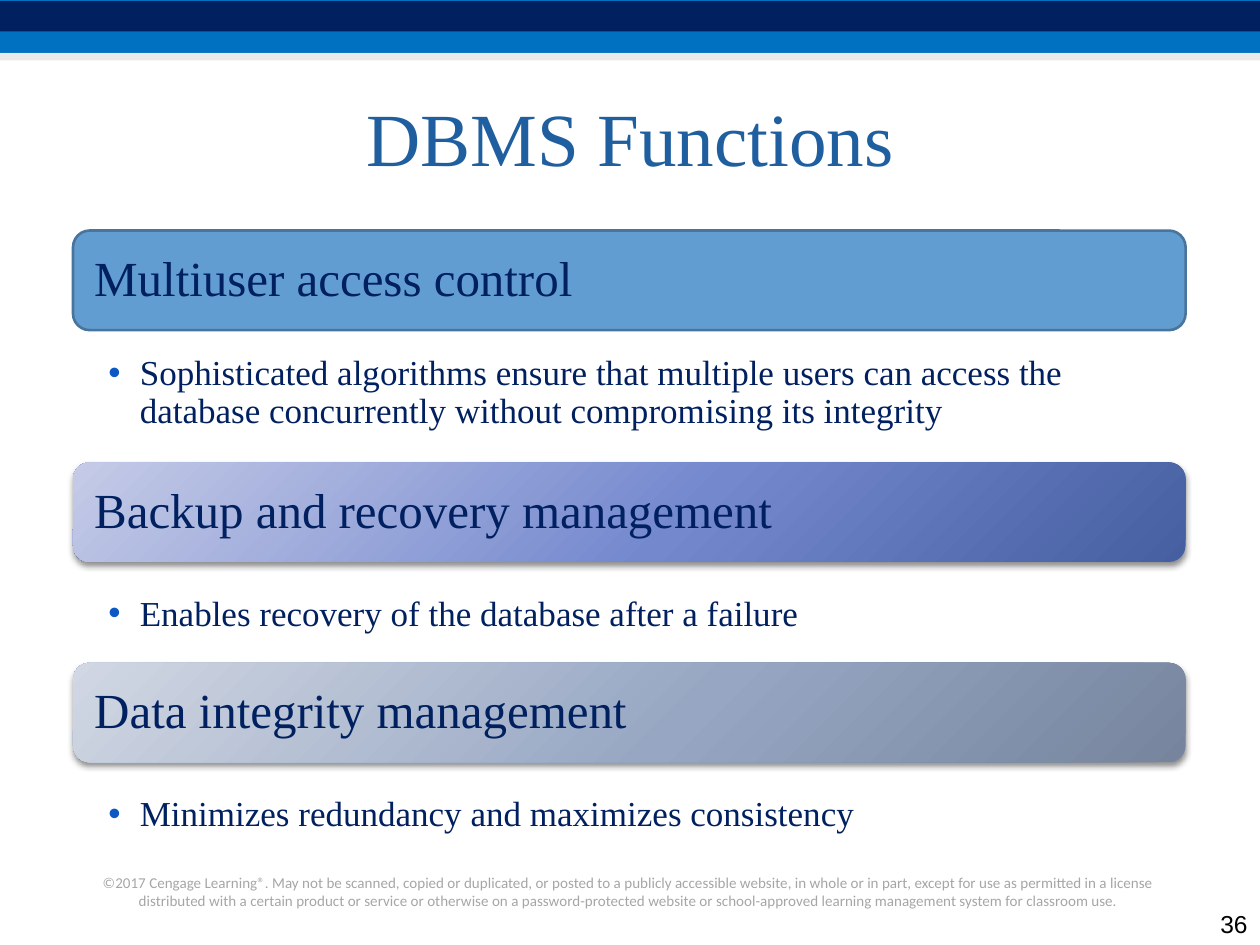
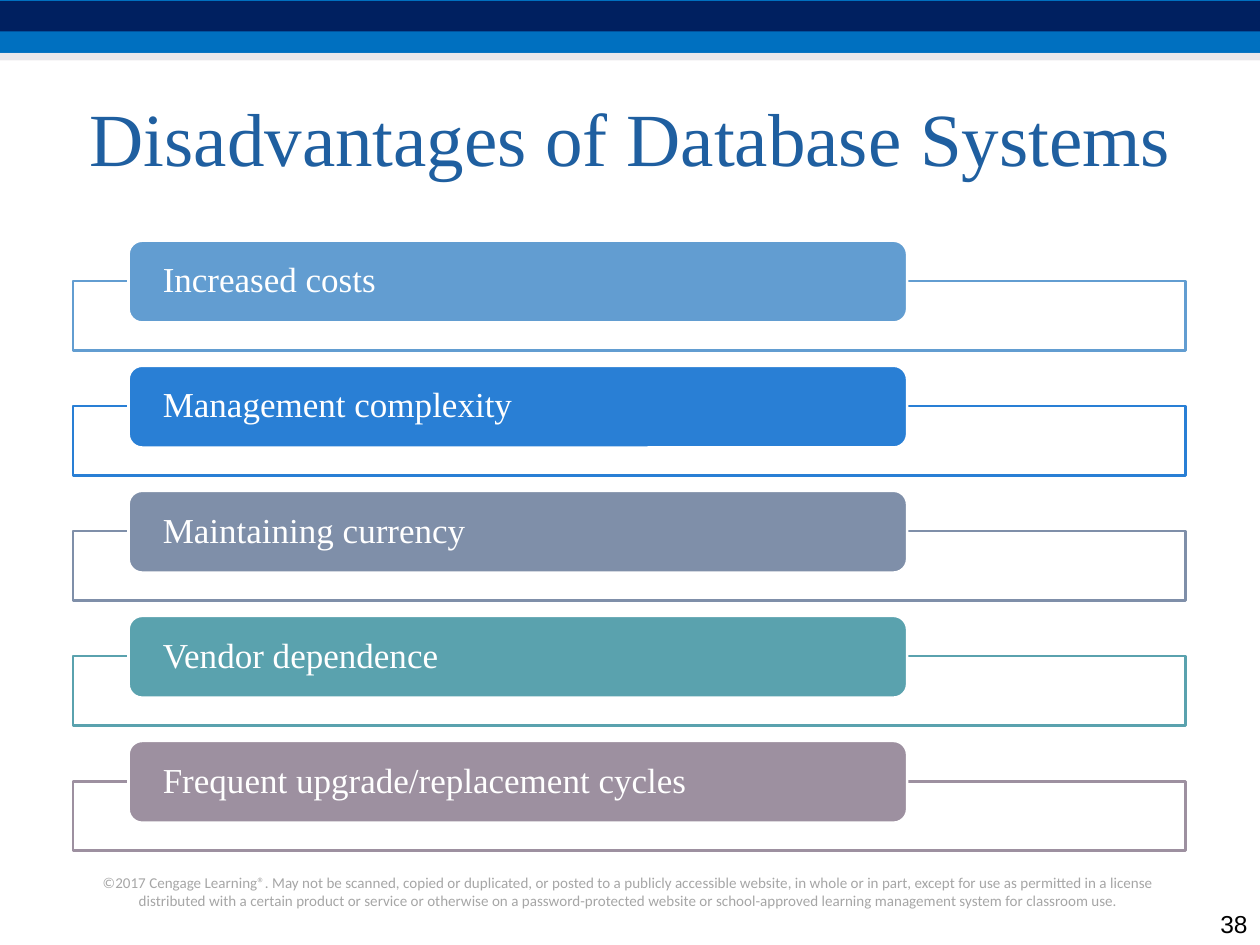
from lxml import etree
from pptx import Presentation
from pptx.dml.color import RGBColor
from pptx.enum.shapes import MSO_SHAPE
from pptx.enum.text import MSO_ANCHOR, PP_ALIGN
from pptx.oxml import parse_xml
from pptx.oxml.ns import nsdecls, qn
from pptx.util import Inches, Pt

RECTANGLE, ROUNDED = MSO_SHAPE.RECTANGLE, MSO_SHAPE.ROUNDED_RECTANGLE
TOP, MIDDLE, BOTTOM = MSO_ANCHOR.TOP, MSO_ANCHOR.MIDDLE, MSO_ANCHOR.BOTTOM
LEFT, CENTER, RIGHT = PP_ALIGN.LEFT, PP_ALIGN.CENTER, PP_ALIGN.RIGHT

# Content: heading, bar top, bar fill (one colour or three gradient stops), detail, detail top, detail height
FUNCTIONS = [
    ("Multiuser access control", 1.83, ["629DD1"],
     "Sophisticated algorithms ensure that multiple users can access the "
     "database concurrently without compromising its integrity", 2.78, 0.8),
    ("Backup and recovery management", 3.67, ["C5CBE7", "7488CE", "455FA0"],
     "Enables recovery of the database after a failure", 4.69, 0.56),
    ("Data integrity management", 5.26, ["D1D7E3", "97A7C3", "76859D"],
     "Minimizes redundancy and maximizes consistency", 6.28, 0.4),
]
DISADVANTAGES = [
    ("Increased costs", "629DD1"),
    ("Management complexity", "297FD5"),
    ("Maintaining currency", "7F8FA9"),
    ("Vendor dependence", "5AA2AE"),
    ("Frequent upgrade/replacement cycles", "9D90A0"),
]
COPYRIGHT = (
    "©2017 Cengage Learning®. May not be scanned, copied or duplicated, or posted to a "
    "publicly accessible website, in whole or in part, except for use as permitted in a "
    "license distributed with a certain product or service or otherwise on a "
    "password-protected website or school-approved learning management system for classroom use."
)

# Shared look: top bands as (top, height, colour, opacity)
BANDS = [(0, 0.42, "0070C0", 100), (0.01, 0.24, "002060", 100), (0.42, 0.06, "D8D3D9", 50)]
NAVY, WHITE, BULLET_BLUE = "002060", "FFFFFF", "0E58C4"
SERIF = "Times New Roman"
TITLE = {"name": SERIF, "size": Pt(42.9), "color": "1F5FA0"}
HEADING = {"name": SERIF, "size": Pt(28), "color": NAVY}
DETAIL = {"name": SERIF, "size": Pt(20), "color": NAVY}
LABEL = {"name": SERIF, "size": Pt(20), "color": WHITE}
NOTICE = {"name": "Calibri", "size": Pt(8.6), "color": "A6A6A6"}
NUMBER = {"name": "Arial", "size": Pt(14), "color": "000000"}
BODY_LEFT, BODY_WIDTH = 0.58, 8.83
BAR_HEIGHT = 0.79
FIRST_PILL, LAST_PILL = 1.91, 5.88
FRAME_DROP = 0.32


def rgb(value):
    return RGBColor.from_string(value)


def write(shape, text, style, align=LEFT, anchor=MIDDLE, insets=(0.1, 0.05, 0.1, 0.05),
          spacing=None, bullet=None):
    frame = shape.text_frame
    sides = ("margin_left", "margin_top", "margin_right", "margin_bottom")
    settings = dict(zip(sides, map(Inches, insets)), word_wrap=True, vertical_anchor=anchor)
    for name, value in settings.items():
        setattr(frame, name, value)
    para = frame.paragraphs[0]
    para.alignment = align
    if spacing:
        para.line_spacing = spacing
    if bullet:
        properties = para._p.get_or_add_pPr()
        properties.set("marL", str(Inches(0.25)))
        properties.set("indent", str(-Inches(0.25)))
        color = etree.SubElement(properties, qn("a:buClr"))
        etree.SubElement(color, qn("a:srgbClr"), val=bullet)
        etree.SubElement(properties, qn("a:buFont"), typeface="Arial")
        etree.SubElement(properties, qn("a:buChar"), char="•")
    span = para.add_run()
    span.text = text
    for name, value in style.items():
        if name == "color":
            span.font.color.rgb = rgb(value)
        else:
            setattr(span.font, name, value)


def add_text(page, at, text, style, **options):
    box = page.shapes.add_textbox(*map(Inches, at))
    write(box, text, style, **options)


def add_block(page, kind, at, fill, line=None, opacity=100):
    block = page.shapes.add_shape(kind, *map(Inches, at))
    block.shadow.inherit = False
    block.fill.solid()
    block.fill.fore_color.rgb = rgb(fill)
    if opacity < 100:
        color = block._element.spPr.find(".//" + qn("a:srgbClr"))
        etree.SubElement(color, qn("a:alpha"), val=str(opacity * 1000))
    if line:
        block.line.color.rgb = rgb(line)
        block.line.width = Pt(1.5)
    else:
        block.line.fill.background()
    return block


def add_glow(block, colors):
    """Radial gradient from the upper left, with a soft shadow below."""
    stops = "".join(
        f'<a:gs pos="{place * 1000}"><a:srgbClr val="{color}"/></a:gs>'
        for place, color in zip((0, 55, 100), colors))
    gradient = parse_xml(
        f'<a:gradFill rotWithShape="1" {nsdecls("a")}><a:gsLst>{stops}</a:gsLst>'
        '<a:path path="circle"><a:fillToRect l="-40000" t="-90000" r="140000" b="190000"/>'
        '</a:path></a:gradFill>')
    properties = block._element.spPr
    properties.replace(properties.find(qn("a:solidFill")), gradient)
    shadow = parse_xml(
        f'<a:outerShdw {nsdecls("a")} blurRad="{Pt(4)}" dist="{Pt(2)}" dir="5400000" '
        'rotWithShape="0"><a:srgbClr val="000000"><a:alpha val="45000"/></a:srgbClr></a:outerShdw>')
    properties.find(qn("a:effectLst")).append(shadow)


def add_page(deck, title, number):
    page = deck.slides.add_slide(deck.slide_layouts[6])
    for top, height, color, opacity in BANDS:
        add_block(page, RECTANGLE, (0, top, 10, height), color, opacity=opacity)
    add_text(page, (BODY_LEFT, 6.88, BODY_WIDTH, 0.39), COPYRIGHT, NOTICE, align=CENTER, anchor=TOP)
    add_text(page, (0.5, 0.5, 9, 1.17), title, TITLE, align=CENTER)
    add_text(page, (9.5, 7.17, 0.5, 0.33), number, NUMBER, align=RIGHT, anchor=BOTTOM)
    return page


def build_functions(deck):
    page = add_page(deck, "DBMS Functions", "36")
    for heading, top, colors, detail, detail_top, detail_height in FUNCTIONS:
        # Heading bar: flat with an outline, or shaded
        shaded = len(colors) > 1
        bar = add_block(page, ROUNDED, (BODY_LEFT, top, BODY_WIDTH, BAR_HEIGHT), colors[0],
                        line=None if shaded else "49749B")
        if shaded:
            add_glow(bar, colors)
        write(bar, heading, HEADING, insets=(0.13, 0.1, 0.13, 0.1), spacing=0.9)
        # Bulleted detail under the bar
        add_text(page, (BODY_LEFT, detail_top, 8.67, detail_height), detail, DETAIL, anchor=TOP,
                 insets=(0.28, 0.04, 0.24, 0.04), spacing=0.9, bullet=BULLET_BLUE)


def build_disadvantages(deck):
    page = add_page(deck, "Disadvantages of Database Systems", "38")
    pitch = (LAST_PILL - FIRST_PILL) / (len(DISADVANTAGES) - 1)
    for index, (label, color) in enumerate(DISADVANTAGES):
        top = FIRST_PILL + index * pitch
        add_block(page, RECTANGLE, (BODY_LEFT, top + FRAME_DROP, BODY_WIDTH, 0.55), WHITE,
                  line=color, opacity=90)
        pill = add_block(page, ROUNDED, (1.02, top, 6.18, 0.65), color, line=WHITE)
        write(pill, label, LABEL, insets=(0.24, 0, 0.24, 0), spacing=0.9)


def main():
    deck = Presentation()
    deck.slide_width, deck.slide_height = Inches(10), Inches(7.5)
    build_functions(deck)
    build_disadvantages(deck)
    deck.save("out.pptx")


if __name__ == "__main__":
    main()
